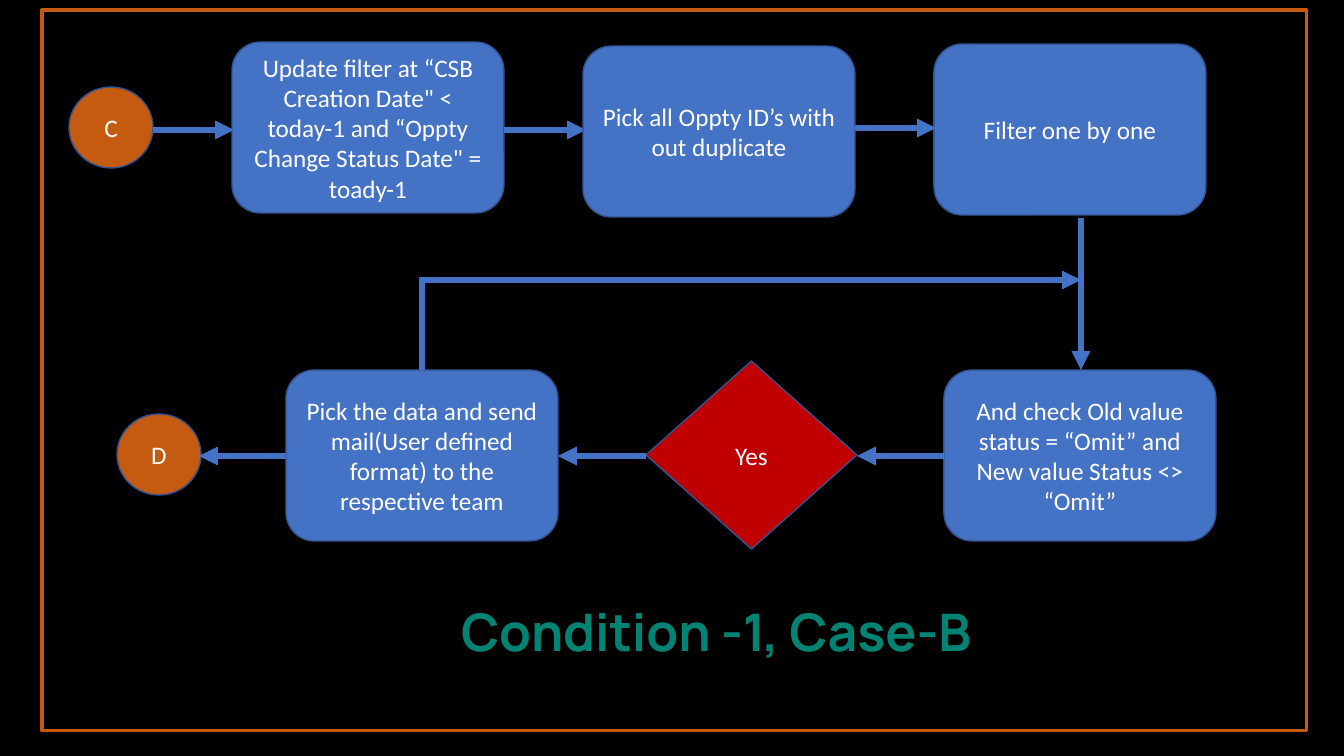
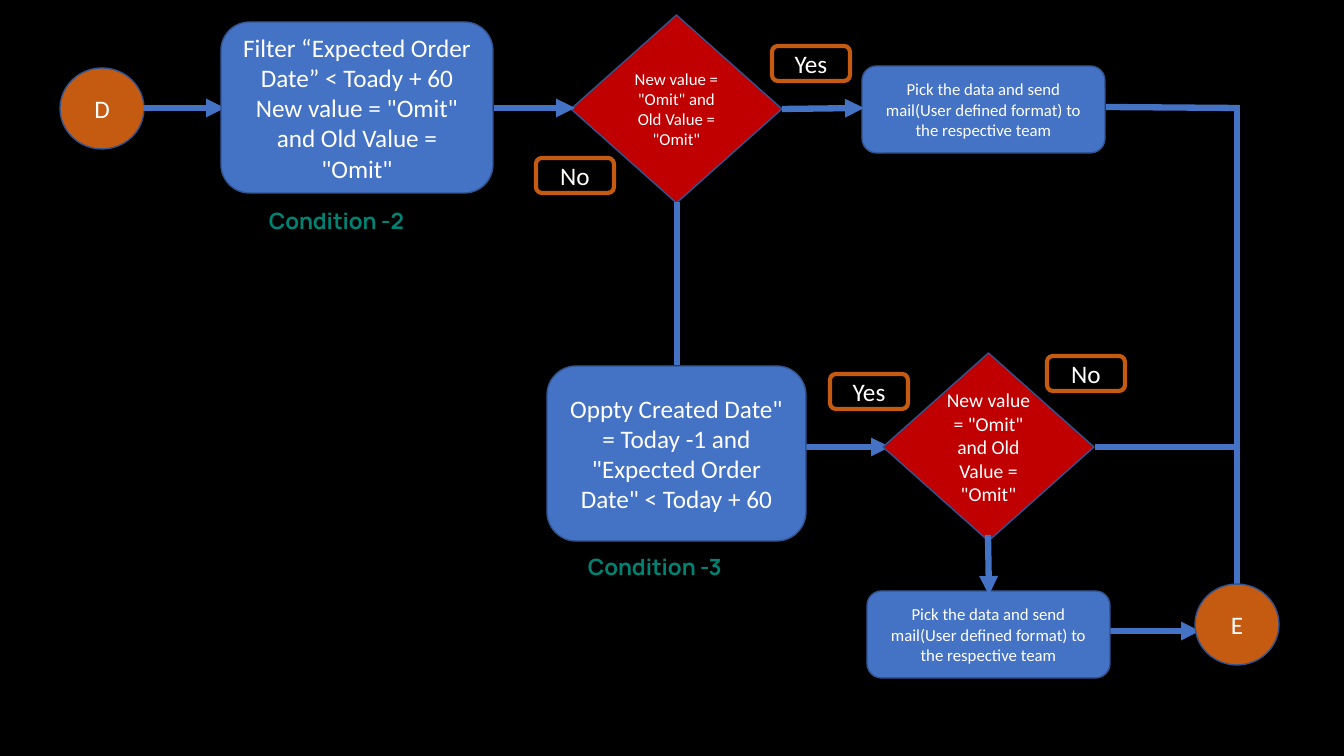
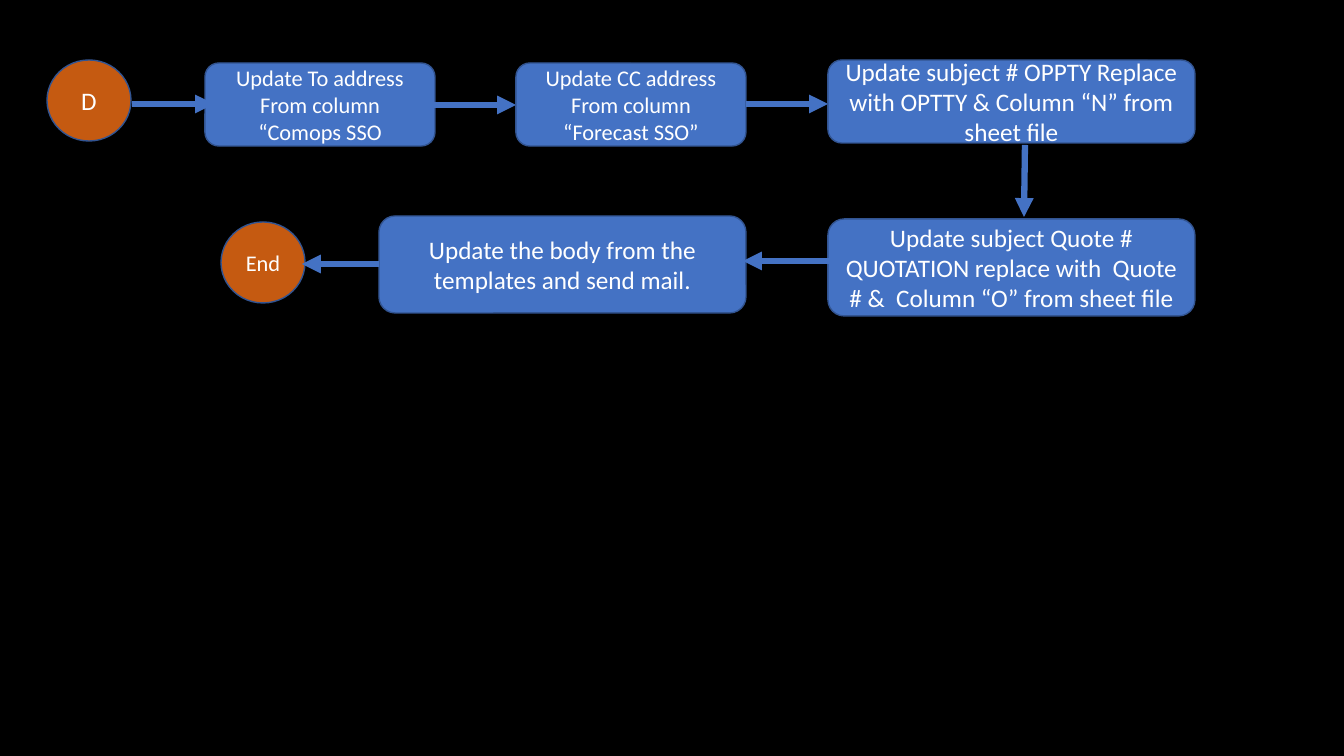
"""Build three flowchart slides for the order-status mail process."""
from pptx import Presentation
from pptx.dml.color import RGBColor
from pptx.enum.shapes import MSO_CONNECTOR, MSO_SHAPE as Preset
from pptx.enum.text import MSO_ANCHOR, MSO_AUTO_SIZE, PP_ALIGN
from pptx.oxml.ns import qn
from pptx.util import Emu, Pt
from lxml.etree import SubElement

BLACK = RGBColor(0x00, 0x00, 0x00)
WHITE = RGBColor(0xFF, 0xFF, 0xFF)
BLUE = RGBColor(0x44, 0x72, 0xC4)
OUTLINE = RGBColor(0x32, 0x54, 0x91)
ORANGE = RGBColor(0xC5, 0x5A, 0x11)
RED = RGBColor(0xC0, 0x00, 0x00)
GREEN = RGBColor(0x01, 0x83, 0x74)
BODY_FONT, HEAD_FONT = "Calibri", "Manrope"
SCALE = 914400 / 100.8
TITLE_ONLY, BLANK = 5, 6

BLOCK = (Preset.ROUNDED_RECTANGLE, BLUE, OUTLINE, 1)
CHOICE = (Preset.FLOWCHART_DECISION, RED, OUTLINE, 1)
JOINT = (Preset.FLOWCHART_CONNECTOR, ORANGE, OUTLINE, 1)
TAG = (Preset.ROUNDED_RECTANGLE, None, ORANGE, 3)
FRAME = (Preset.RECTANGLE, None, ORANGE, 2.25)

KINDS = {
    "step": (BLOCK, 272, 171, 18),
    "condition": (BLOCK, 259, 175, 18),
    "mail": (BLOCK, 243, 87, 12),
    "address": (BLOCK, 230, 83, 16),
    "subject": (BLOCK, 367, 83, 18),
    "message": (BLOCK, 367, 97, 18),
    "decision": (CHOICE, 211, 188, 18),
    "decision small": (CHOICE, 211, 188, 12),
    "decision medium": (CHOICE, 211, 188, 14),
    "joint": (JOINT, 84, 81, 18),
    "end": (JOINT, 84, 81, 16),
    "tag": (TAG, 78, 35, 18),
    "frame": (FRAME, 1265, 721, 18),
}

SEND = "Pick the data and send mail(User defined format) to the respective team"
BOTH_OMIT = 'New value = "Omit" and Old Value = "Omit"'

SLIDES = [
    {
        "title": ("Condition -1, Case-B", 451, 587, 602, 96),
        "captions": [],
        "flow": [
            ("joint", 69, 87, "C"),
            ("step", 232, 42, 'Update filter at “CSB Creation Date" < today-1 and '
                              '“Oppty Change Status Date" = toady-1'),
            ("arrow", 153, 130, 234, 130),
            ("arrow", 504, 130, 586, 130),
            ("step", 583, 46, "Pick all Oppty ID’s with out duplicate"),
            ("step", 934, 44, "Filter one by one"),
            ("arrow", 855, 128, 936, 128),
            ("step", 944, 370, "And check Old value status = “Omit” and "
                               "New value Status <> “Omit”"),
            ("arrow", 1081, 218, 1081, 370),
            ("decision", 646, 361, "Yes"),
            ("arrow", 944, 456, 857, 456),
            ("step", 286, 370, SEND),
            ("arrow", 646, 456, 558, 456),
            ("frame", 42, 10, ""),
            ("line", 422, 278, 422, 370),
            ("joint", 117, 414, "D"),
            ("arrow", 286, 456, 199, 456),
            ("arrow", 419, 280, 1081, 280),
        ],
    },
    {
        "title": None,
        "captions": [("Condition -2", 259, 210, 211, 25),
                     ("Condition -3", 578, 556, 211, 25)],
        "flow": [
            ("decision small", 571, 15, BOTH_OMIT),
            ("joint", 60, 68, "D"),
            ("arrow", 143, 108, 225, 108),
            ("tag", 772, 46, "Yes"),
            ("mail", 862, 66, SEND),
            ("arrow", 782, 109, 864, 108),
            ("tag", 536, 158, "No"),
            ("arrow", 806, 447, 890, 447),
            ("decision medium", 883, 353, BOTH_OMIT),
            ("tag", 830, 374, "Yes"),
            ("line", 1237, 105, 1237, 605),
            ("line", 1239, 108, 1106, 107),
            ("arrow", 1110, 631, 1200, 631),
            ("joint", 1195, 584, "E"),
            ("condition", 547, 366, 'Oppty Created Date" = Today -1 and '
                                    '"Expected Order Date" < Today + 60'),
            ("arrow", 494, 108, 575, 108),
            ("step", 221, 22, "Filter “Expected Order Date” < Toady + 60\n" + BOTH_OMIT),
            ("line", 677, 202, 677, 365),
            ("mail", 867, 591, SEND),
            ("arrow", 988, 535, 989, 595),
            ("tag", 1047, 356, "No"),
            ("line", 1095, 447, 1236, 447),
        ],
    },
    {
        "title": None,
        "captions": [],
        "flow": [
            ("joint", 47, 60, "D"),
            ("address", 205, 63, "Update To address From column “Comops SSO"),
            ("arrow", 132, 104, 214, 104),
            ("arrow", 434, 105, 516, 105),
            ("address", 516, 63, "Update CC address From column “Forecast SSO”"),
            ("arrow", 746, 104, 828, 104),
            ("subject", 828, 60, "Update subject # OPPTY Replace with OPTTY & "
                                 "Column “N” from sheet file"),
            ("arrow", 1025, 145, 1024, 217),
            ("message", 828, 219, "Update subject Quote # QUOTATION replace with  Quote # &  "
                                  "Column “O” from sheet file"),
            ("message", 379, 216, "Update the body from the templates and send mail."),
            ("arrow", 831, 261, 743, 261),
            ("end", 221, 222, "End"),
            ("arrow", 379, 264, 302, 264),
        ],
    },
]


def px(*lengths):
    return [Emu(round(length * SCALE)) for length in lengths]


def write(box, text, font, size, color, align, bold=False, spacing=None):
    frame = box.text_frame
    frame.word_wrap = True
    frame.auto_size = MSO_AUTO_SIZE.NONE
    frame.vertical_anchor = MSO_ANCHOR.MIDDLE
    for index, line in enumerate(text.split("\n")):
        para = frame.add_paragraph() if index else frame.paragraphs[0]
        para.alignment = align
        para.line_spacing = spacing
        span = para.add_run()
        span.text = line
        span.font.name, span.font.size, span.font.bold = font, Pt(size), bold
        span.font.color.rgb = color


def write_heading(box, text, size):
    write(box, text, HEAD_FONT, size, GREEN, PP_ALIGN.LEFT, bold=True, spacing=0.9)


def add_node(page, kind, left, top, text):
    (preset, fill, outline, weight), width, height, size = KINDS[kind]
    box = page.shapes.add_shape(preset, *px(left, top, width, height))
    box.shadow.inherit = False
    if fill is None:
        box.fill.background()
    else:
        box.fill.solid()
        box.fill.fore_color.rgb = fill
    box.line.color.rgb = outline
    box.line.width = Pt(weight)
    if text:
        write(box, text, BODY_FONT, size, WHITE, PP_ALIGN.CENTER)


def add_link(page, kind, *ends):
    link = page.shapes.add_connector(MSO_CONNECTOR.STRAIGHT, *px(*ends))
    link.line.color.rgb = BLUE
    link.line.width = Pt(4.5)
    if kind == "arrow":
        SubElement(link.line._get_or_add_ln(), qn("a:tailEnd"), type="triangle")
    SubElement(link._element.spPr, qn("a:effectLst"))


def add_page(deck, content):
    title = content["title"]
    page = deck.slides.add_slide(deck.slide_layouts[TITLE_ONLY if title else BLANK])
    if title:
        text, *place = title
        box = page.shapes.title
        box.left, box.top, box.width, box.height = px(*place)
        write_heading(box, text, 37)
    for kind, *details in content["flow"]:
        add = add_node if kind in KINDS else add_link
        add(page, kind, *details)
    for text, *place in content["captions"]:
        write_heading(page.shapes.add_textbox(*px(*place)), text, 16)


deck = Presentation()
deck.slide_width, deck.slide_height = px(1344, 756)
backdrop = deck.slide_master.background.fill
backdrop.solid()
backdrop.fore_color.rgb = BLACK
for content in SLIDES:
    add_page(deck, content)
deck.save("out.pptx")
